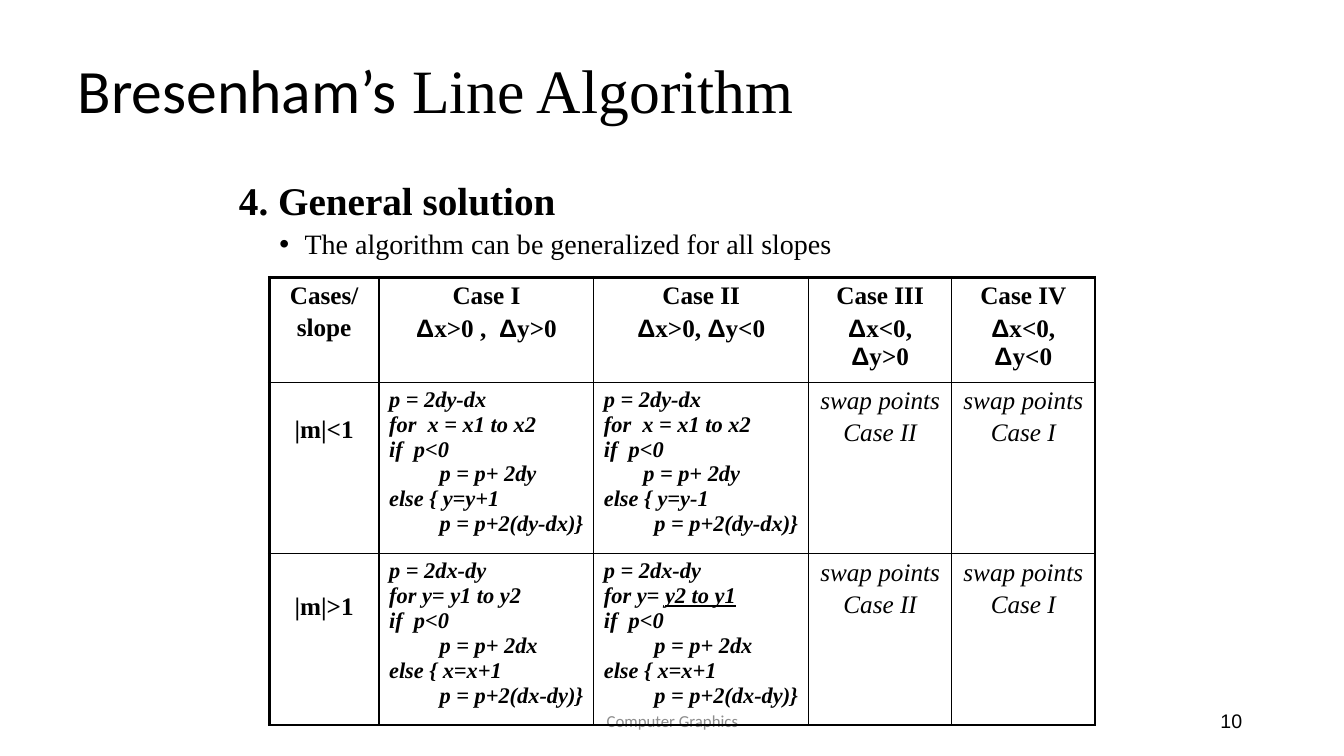
from dataclasses import dataclass

from lxml import etree
from pptx import Presentation
from pptx.dml.color import RGBColor
from pptx.enum.text import MSO_ANCHOR, MSO_AUTO_SIZE, PP_ALIGN
from pptx.oxml.ns import qn
from pptx.util import Emu, Pt

LEFT, CENTER, RIGHT = PP_ALIGN.LEFT, PP_ALIGN.CENTER, PP_ALIGN.RIGHT
MIDDLE = MSO_ANCHOR.MIDDLE
NO_FIT = MSO_AUTO_SIZE.NONE


@dataclass(frozen=True)
class Theme:
    ink: str = "000000"
    gray: str = "8C8C8C"
    serif: str = "Times New Roman"
    sans: str = "Calibri"
    plain: str = "Arial"
    title: int = 44
    head: int = 28
    item: int = 20
    cell: int = 18
    code: int = 16
    page: int = 14
    foot: int = 12
    thin: float = 1
    thick: float = 2.25


@dataclass(frozen=True)
class Box:
    x: int
    y: int
    w: int
    h: int


@dataclass(frozen=True)
class Line:
    text: str
    inset: int = 0
    under: str = ""


@dataclass(frozen=True)
class Cell:
    lines: tuple[Line, ...]
    size: int
    bold: bool = True
    italic: bool = False
    align: PP_ALIGN = CENTER
    gap: int = 3
    top: int = 5


THEME = Theme()


def px(n: int) -> Emu:
    """One px is a hundredth of an inch."""
    return Emu(n * 9144)


def style(font, face: str, size: int, bold: bool = False,
          italic: bool = False, color: str = THEME.ink) -> None:
    font.name, font.size = face, Pt(size)
    font.bold, font.italic = bold, italic
    font.color.rgb = RGBColor.from_string(color)


def place(shape, box: Box) -> None:
    shape.left, shape.top = px(box.x), px(box.y)
    shape.width, shape.height = px(box.w), px(box.h)


def indent(para, left: int, first: int = 0, mark: str = "") -> None:
    props = para._p.get_or_add_pPr()
    props.set("marL", str(px(left)))
    props.set("indent", str(px(first)))
    if mark:
        etree.SubElement(props, qn("a:buChar")).set("char", mark)
    else:
        etree.SubElement(props, qn("a:buNone"))


def label(slide, box: Box, text: str, align: PP_ALIGN,
          face: str, size: int, color: str) -> None:
    shape = slide.shapes.add_textbox(0, 0, 0, 0)
    place(shape, box)
    frame = shape.text_frame
    frame.word_wrap, frame.vertical_anchor = True, MIDDLE
    para = frame.paragraphs[0]
    para.text, para.alignment = text, align
    style(para.font, face, size, color=color)


def border(cell, widths: dict[str, float]) -> None:
    props = cell._tc.get_or_add_tcPr()
    for side, width in widths.items():
        line = etree.SubElement(props, qn(f"a:ln{side}"), w=str(Pt(width)))
        fill = etree.SubElement(line, qn("a:solidFill"))
        etree.SubElement(fill, qn("a:srgbClr"), val=THEME.ink)


def write(cell, data: Cell) -> None:
    cell.margin_left = cell.margin_right = px(10)
    cell.margin_top, cell.margin_bottom = px(data.top), px(5)
    frame = cell.text_frame
    for i, line in enumerate(data.lines):
        para = frame.add_paragraph() if i else frame.paragraphs[0]
        if line.inset:
            indent(para, line.inset)
        para.alignment, para.space_before = data.align, Pt(data.gap)
        style(para.font, THEME.serif, data.size, data.bold, data.italic)
        # The Greek letter stands in its own face
        for k, part in enumerate(line.text.split("Δ")):
            if k:
                delta = para.add_run()
                delta.text, delta.font.name = "Δ", THEME.plain
            if part:
                para.add_run().text = part
        if line.under:
            run = para.add_run()
            run.text, run.font.underline = line.under, True


def head(*texts: str) -> Cell:
    return Cell(tuple(Line(t) for t in texts), THEME.cell)


def slope(text: str, top: int) -> Cell:
    return Cell((Line(text),), THEME.cell, top=top)


def swap(case: str) -> Cell:
    lines = (Line("swap points"), Line(case))
    return Cell(lines, THEME.cell, bold=False, italic=True)


def code(a: str, b: str, loop: Line, step: str, inset: int = 50) -> Cell:
    """Code for the error term of axis a, run along axis b."""
    lines = (
        Line(f"p = 2d{a}-d{b}"), loop, Line("if  p<0"),
        Line(f"p = p+ 2d{a}", inset),
        Line(f"else {{ {step}"),
        Line(f"p = p+2(d{a}-d{b})}}", 50),
    )
    return Cell(lines, THEME.code, italic=True, align=LEFT, gap=0)


COLS = (109, 213, 213, 142, 142)
ROWS = (98, 170, 170)
ALONG = Line("for  x = x1 to x2")
GRID = (
    (head("Cases/", "slope"), head("Case I", "Δx>0 ,  Δy>0"),
     head("Case II", "Δx>0, Δy<0"), head("Case III", "Δx<0, Δy>0"),
     head("Case IV", "Δx<0, Δy<0")),
    (slope("|m|<1", 34), code("y", "x", ALONG, "y=y+1"),
     code("y", "x", ALONG, "y=y-1", 39), swap("Case II"), swap("Case I")),
    (slope("|m|>1", 39),
     code("x", "y", Line("for y= y1 to y2"), "x=x+1"),
     code("x", "y", Line("for y= ", under="y2 to y1"), "x=x+1"),
     swap("Case II"), swap("Case I")),
)


def cases(slide) -> None:
    frame = slide.shapes.add_table(
        len(ROWS), len(COLS), px(267), px(275), px(sum(COLS)), px(sum(ROWS)))
    table = frame.table
    table.first_row = table.horz_banding = False
    for col, width in zip(table.columns, COLS):
        col.width = px(width)
    for row, height in zip(table.rows, ROWS):
        row.height = px(height)
    for r, row in enumerate(GRID):
        for c, data in enumerate(row):
            cell = table.cell(r, c)
            edges = {"L": c == 0, "R": c == len(COLS) - 1,
                     "T": r == 0, "B": r == len(ROWS) - 1}
            border(cell, {side: THEME.thick if edge else THEME.thin
                          for side, edge in edges.items()})
            cell.fill.background()
            write(cell, data)


def main() -> None:
    deck = Presentation()
    deck.slide_width, deck.slide_height = px(1333), px(750)
    slide = deck.slides.add_slide(deck.slide_layouts[1])

    # Title
    title = slide.shapes.title
    place(title, Box(67, 30, 1200, 125))
    frame = title.text_frame
    frame.auto_size, frame.vertical_anchor = NO_FIT, MIDDLE
    para = frame.paragraphs[0]
    para.alignment, para.line_spacing = LEFT, 0.9
    for text, face in (("Bresenham’s", THEME.sans),
                       (" Line Algorithm", THEME.serif)):
        run = para.add_run()
        run.text = text
        style(run.font, face, THEME.title)

    # Heading and bullet
    body = slide.placeholders[1]
    place(body, Box(217, 175, 917, 495))
    frame = body.text_frame
    frame.auto_size = NO_FIT
    top, item = frame.paragraphs[0], frame.add_paragraph()
    top.text = "4. General solution"
    item.text, item.level = "The algorithm can be generalized for all slopes", 1
    indent(top, 10)
    indent(item, 75, -25, "•")
    for para, size, gap in ((top, THEME.head, 10), (item, THEME.item, 5)):
        para.line_spacing, para.space_before = 0.9, Pt(gap)
        style(para.font, THEME.serif, size, bold=para is top)

    # Footer and page number
    label(slide, Box(442, 695, 450, 40), "Computer Graphics", CENTER,
          THEME.sans, THEME.foot, THEME.gray)
    label(slide, Box(942, 695, 300, 40), "10", RIGHT,
          THEME.plain, THEME.page, THEME.ink)

    # Table of cases
    cases(slide)
    deck.save("out.pptx")


if __name__ == "__main__":
    main()
